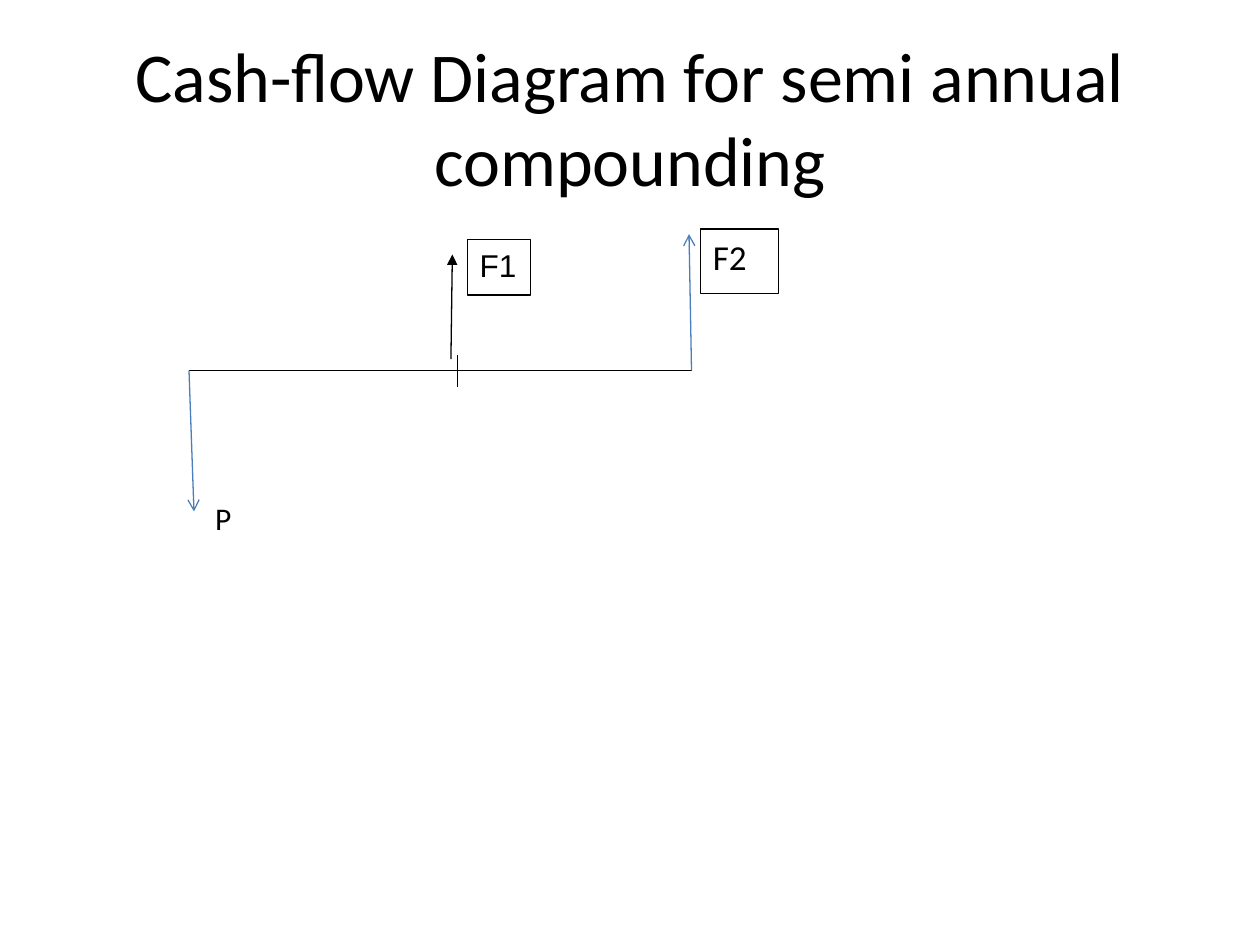
from lxml.etree import SubElement
from pptx import Presentation
from pptx.dml.color import RGBColor
from pptx.enum.shapes import MSO_CONNECTOR, MSO_SHAPE
from pptx.enum.text import MSO_ANCHOR, PP_ALIGN
from pptx.oxml.ns import qn
from pptx.util import Cm, Pt

COLORS = {"ink": "000000", "paper": "FFFFFF", "blue": "4A7EBB"}


def rgb(name):
    return RGBColor.from_string(COLORS[name])


def write(shape, text, size, font="Calibri", align=PP_ALIGN.LEFT, anchor=MSO_ANCHOR.TOP):
    tf = shape.text_frame
    tf.word_wrap = True
    tf.vertical_anchor = anchor
    p = tf.paragraphs[0]
    p.alignment = align
    r = p.add_run()
    r.text = text
    r.font.size = Pt(size)
    r.font.name = font
    r.font.color.rgb = rgb("ink")


prs = Presentation()
prs.slide_width, prs.slide_height = Cm(25.4), Cm(19.05)
s = prs.slides.add_slide(prs.slide_layouts[6])

title = s.shapes.add_textbox(Cm(1.27), Cm(0.76), Cm(22.86), Cm(3.18))
write(title, "Cash-flow Diagram for semi annual compounding", 40,
      align=PP_ALIGN.CENTER, anchor=MSO_ANCHOR.MIDDLE)

# Time axis, period tick and cash flows
start, end, axis = 3.81, 13.94, 7.47
lines = [
    (start, axis, end, axis, "ink", None),
    (9.22, 7.16, 9.22, 7.8, "ink", None),
    (9.09, 7.24, 9.12, 5.13, "ink", "triangle"),
    (start, axis, 3.91, 10.31, "blue", "arrow"),
    (end, axis, 13.89, 4.72, "blue", "arrow"),
]
for x1, y1, x2, y2, color, head in lines:
    line = s.shapes.add_connector(MSO_CONNECTOR.STRAIGHT, Cm(x1), Cm(y1), Cm(x2), Cm(y2))
    line.line.color.rgb = rgb(color)
    line.line.width = Pt(0.75)
    if head:
        SubElement(line.line._get_or_add_ln(), qn("a:tailEnd"), type=head)
    SubElement(line._element.spPr, qn("a:effectLst"))

# Framed labels of the receipts
boxes = [
    ("F1", 9.42, 4.83, 1.27, 1.12, 18, "Arial"),
    ("F2", 14.12, 4.62, 1.57, 1.3, 20, "Calibri"),
]
for text, x, y, w, h, size, font in boxes:
    box = s.shapes.add_shape(MSO_SHAPE.RECTANGLE, Cm(x), Cm(y), Cm(w), Cm(h))
    box.shadow.inherit = False
    box.fill.solid()
    box.fill.fore_color.rgb = rgb("paper")
    box.line.color.rgb = rgb("ink")
    box.line.width = Pt(0.75)
    write(box, text, size, font)
    box.text_frame.paragraphs[0].space_after = Pt(10)

payment = s.shapes.add_textbox(Cm(4.09), Cm(9.93), Cm(1.19), Cm(1.02))
write(payment, "P", 18)

prs.save("out.pptx")
